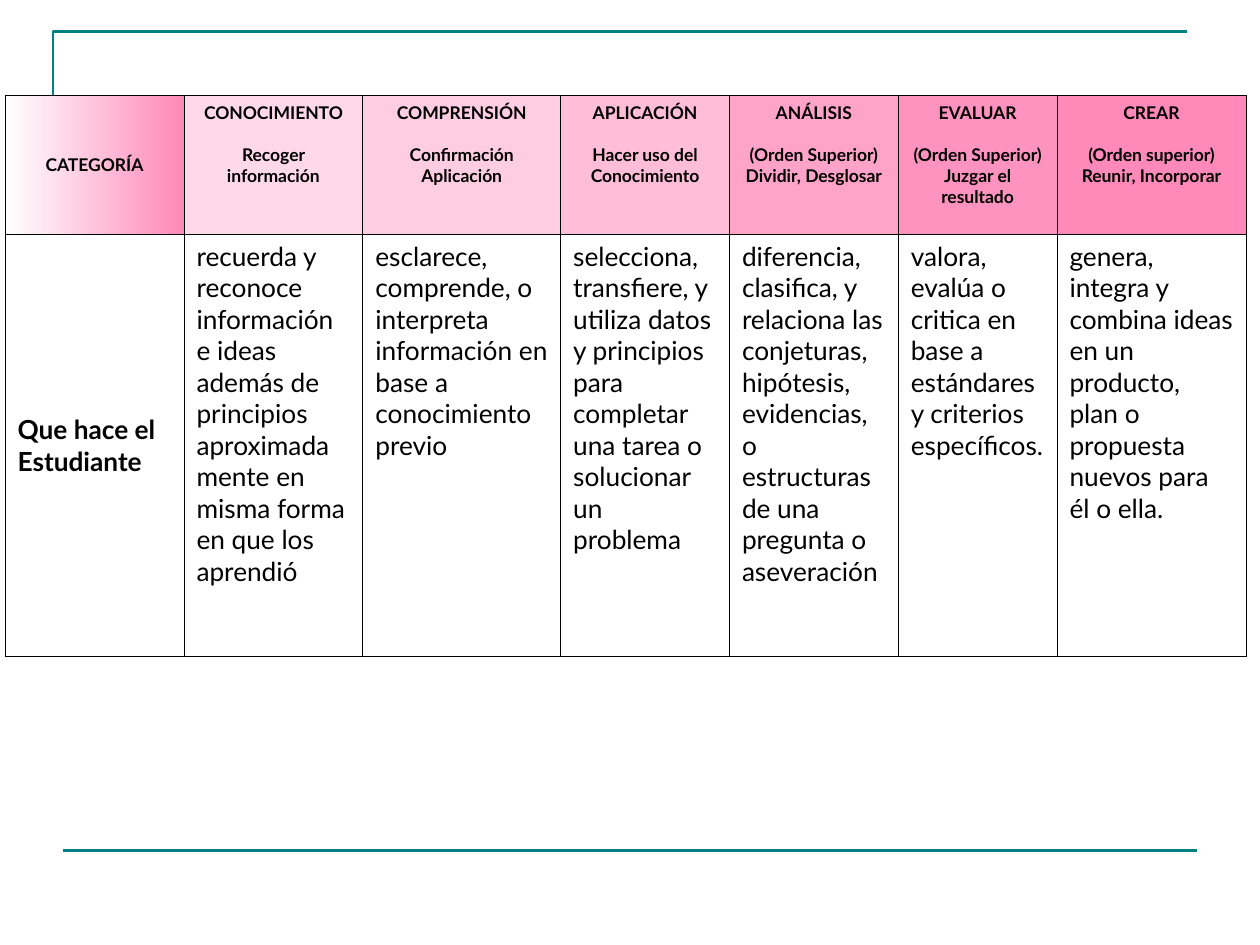
from dataclasses import dataclass

from lxml.etree import SubElement
from pptx import Presentation
from pptx.dml.color import RGBColor
from pptx.enum.shapes import MSO_CONNECTOR
from pptx.enum.text import MSO_ANCHOR, PP_ALIGN
from pptx.oxml.ns import qn
from pptx.util import Inches, Pt


@dataclass(frozen=True)
class Theme:
    font: str = "Lato"
    text: str = "000000"
    rule: str = "008080"
    white: str = "FFFFFF"
    pink: str = "FF89B9"
    head_size: float = 10
    body_size: float = 15
    rule_width: float = 1.5
    border_width: float = 0.45


THEME = Theme()

CATEGORY = "CATEGORÍA"
ROW_TITLE = "Que hace el Estudiante"
LEVELS = [
    (1.42, "FFD9E8", "CONOCIMIENTO", "Recoger información",
     "recuerda y reconoce información e ideas además de principios "
     "aproximadamente en misma forma en que los aprendió"),
    (1.57, "FFCDE1", "COMPRENSIÓN", "Confirmación Aplicación",
     "esclarece, comprende, o interpreta información en base a "
     "conocimiento previo"),
    (1.34, "FFBDD8", "APLICACIÓN", "Hacer uso del Conocimiento",
     "selecciona, transfiere, y utiliza datos y principios para completar "
     "una tarea o solucionar un problema"),
    (1.34, "FFA3C8", "ANÁLISIS", "(Orden Superior) Dividir, Desglosar",
     "diferencia, clasifica, y relaciona las conjeturas, hipótesis, "
     "evidencias, o estructuras de una pregunta o aseveración"),
    (1.26, "FF93BF", "EVALUAR", "(Orden Superior) Juzgar el resultado",
     "valora, evalúa o critica en base a estándares y criterios específicos."),
    (1.5, THEME.pink, "CREAR", "(Orden superior) Reunir, Incorporar",
     "genera, integra y combina ideas en un producto, plan o propuesta "
     "nuevos para él o ella."),
]
CATEGORY_WIDTH = 1.42
ROW_HEIGHTS = [1.1, 3.35]


def rgb(value):
    return RGBColor.from_string(value)


def style_rule(line):
    line.color.rgb = rgb(THEME.rule)
    line.width = Pt(THEME.rule_width)


def add_corner(s):
    builder = s.shapes.build_freeform(Inches(0.42), Inches(0.92))
    builder.add_line_segments(
        [(Inches(0.42), Inches(0.25)), (Inches(9.42), Inches(0.25))], close=False)
    sp = builder.convert_to_shape()
    sp.fill.background()
    style_rule(sp.line)
    sp.shadow.inherit = False


def add_rule(s, x1, x2, y):
    cxn = s.shapes.add_connector(
        MSO_CONNECTOR.STRAIGHT, Inches(x1), Inches(y), Inches(x2), Inches(y))
    style_rule(cxn.line)
    SubElement(cxn.element.spPr, qn("a:effectLst"))


def set_borders(cell):
    tc_pr = cell._tc.get_or_add_tcPr()
    for side in ("lnL", "lnR", "lnT", "lnB"):
        ln = SubElement(tc_pr, qn(f"a:{side}"), w=str(Pt(THEME.border_width)))
        fill = SubElement(ln, qn("a:solidFill"))
        SubElement(fill, qn("a:srgbClr"), val=THEME.text)


def fill_cell(cell, colors):
    if not colors:
        cell.fill.background()
    elif len(colors) == 1:
        cell.fill.solid()
        cell.fill.fore_color.rgb = rgb(colors[0])
    else:
        cell.fill.gradient()
        cell.fill.gradient_angle = 0
        for stop, color in zip(cell.fill.gradient_stops, colors):
            stop.color.rgb = rgb(color)


def write_cell(cell, lines, size, bold=False, align=PP_ALIGN.LEFT,
               anchor=MSO_ANCHOR.TOP, colors=()):
    set_borders(cell)
    fill_cell(cell, colors)
    cell.vertical_anchor = anchor
    tf = cell.text_frame
    for i, text in enumerate(lines):
        p = tf.add_paragraph() if i else tf.paragraphs[0]
        p.text = text
        p.alignment = align
        p.space_before = Pt(12 if i else 0)
        p.font.name = THEME.font
        p.font.size = Pt(size)
        p.font.bold = bold
        p.font.color.rgb = rgb(THEME.text)


def add_levels_table(s):
    widths = [CATEGORY_WIDTH] + [level[0] for level in LEVELS]
    table = s.shapes.add_table(
        len(ROW_HEIGHTS), len(widths), Inches(0.04), Inches(0.76),
        Inches(sum(widths)), Inches(sum(ROW_HEIGHTS))).table
    table.first_row = table.horz_banding = False
    for column, width in zip(table.columns, widths):
        column.width = Inches(width)
    for row, height in zip(table.rows, ROW_HEIGHTS):
        row.height = Inches(height)

    write_cell(table.cell(0, 0), [CATEGORY], THEME.head_size, True,
               PP_ALIGN.CENTER, MSO_ANCHOR.MIDDLE, (THEME.white, THEME.pink))
    write_cell(table.cell(1, 0), [ROW_TITLE], THEME.body_size, True,
               anchor=MSO_ANCHOR.MIDDLE)
    for col, (_, color, name, summary, action) in enumerate(LEVELS, 1):
        write_cell(table.cell(0, col), [name, summary], THEME.head_size, True,
                   PP_ALIGN.CENTER, colors=(color,))
        write_cell(table.cell(1, col), [action], THEME.body_size)


def main():
    prs = Presentation()
    prs.slide_width, prs.slide_height = Inches(10), Inches(7.5)
    s = prs.slides.add_slide(prs.slide_layouts[6])
    add_corner(s)
    add_rule(s, 0.5, 9.5, 6.75)
    add_levels_table(s)
    prs.save("out.pptx")


if __name__ == "__main__":
    main()
